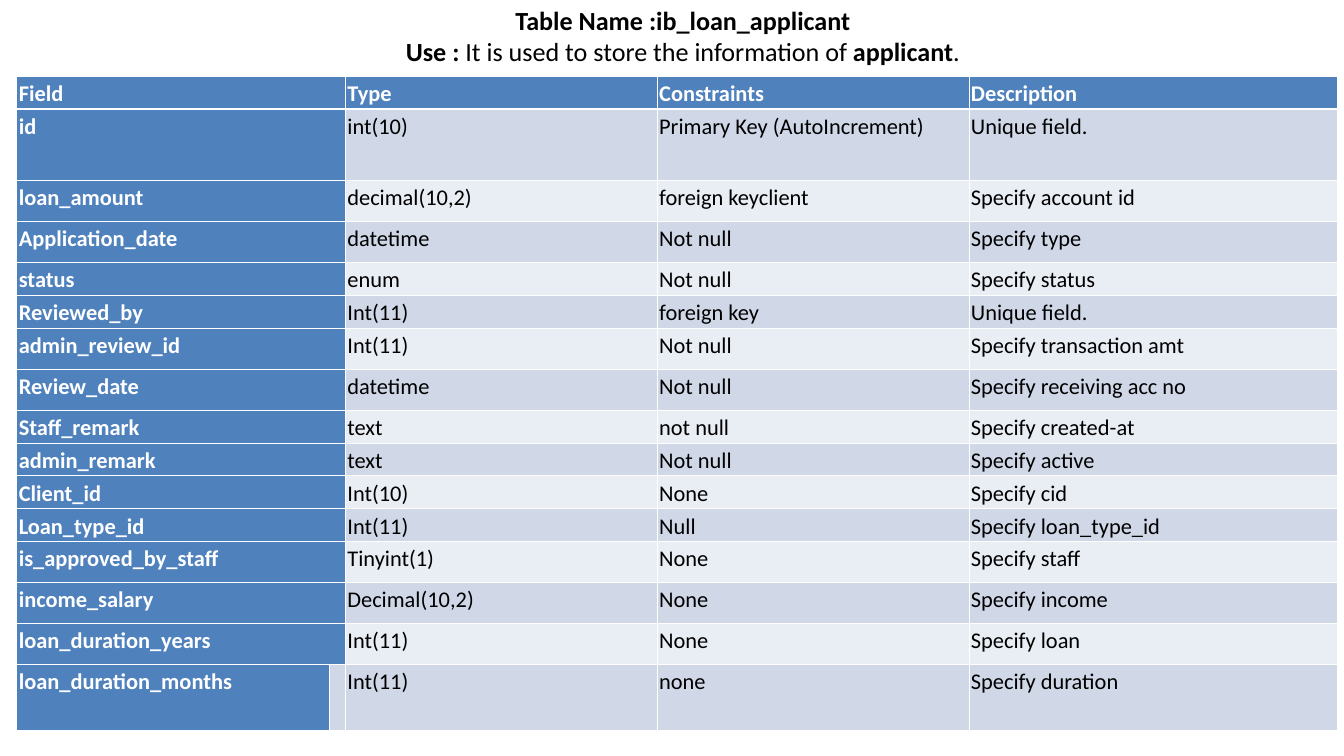
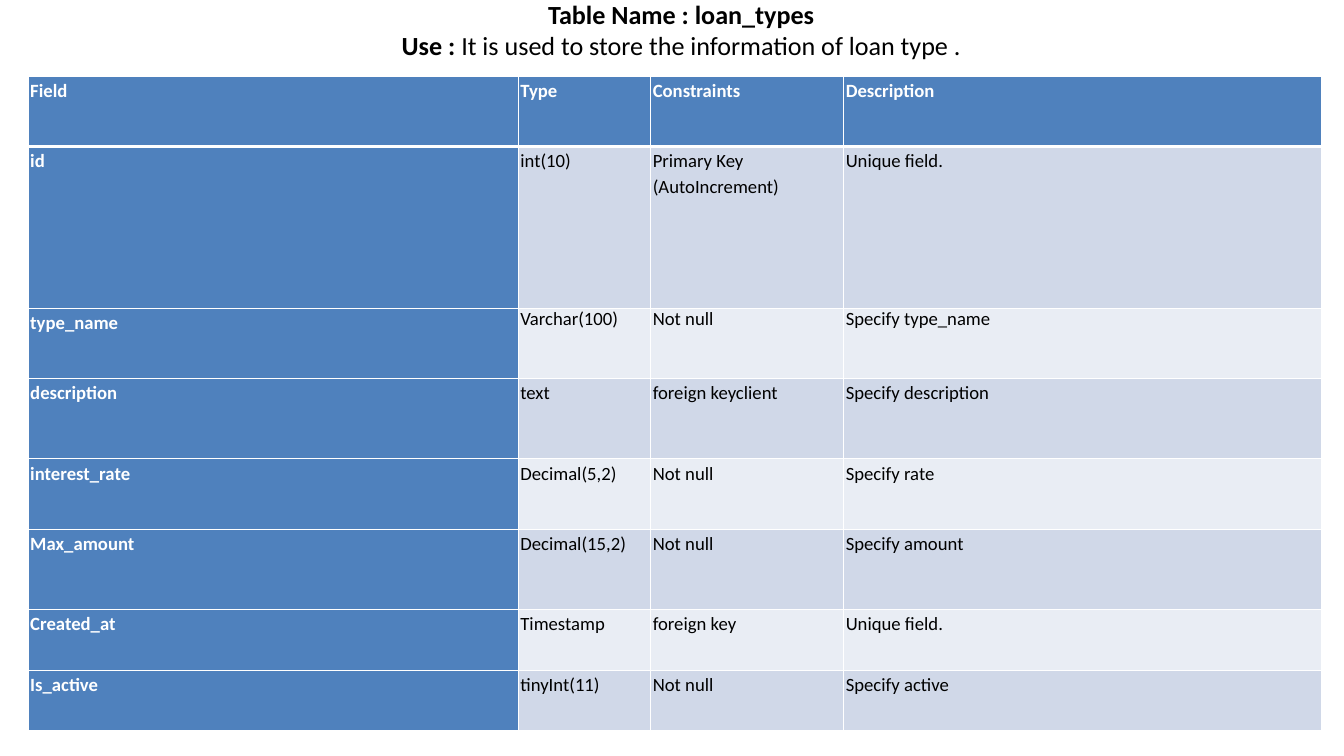
from dataclasses import dataclass

from lxml.etree import SubElement
from pptx import Presentation
from pptx.dml.color import RGBColor
from pptx.enum.text import MSO_ANCHOR, PP_ALIGN
from pptx.oxml.ns import qn
from pptx.slide import Slide
from pptx.table import Table, _Cell
from pptx.text.text import _Paragraph
from pptx.util import Emu, Inches, Pt

SLIDE_WIDTH = Inches(20)
SLIDE_HEIGHT = Inches(11.25)


@dataclass(frozen=True)
class Theme:
    font: str = "Calibri"
    title_size: int = 28
    text: str = "000000"
    heading_text: str = "FFFFFF"
    heading_fill: str = "4F81BD"
    bands: tuple[str, str] = ("D0D8E8", "E9EDF4")
    border: str = "FFFFFF"
    thin: int = 1
    thick: int = 3
    line_spacing: float = 1.15


THEME = Theme()


@dataclass(frozen=True)
class Box:
    """A rectangle in percent of the slide's width and height."""
    left: float
    top: float
    width: float
    height: float

    def place(self) -> tuple[Emu, Emu, Emu, Emu]:
        return (Emu(int(SLIDE_WIDTH * self.left / 100)),
                Emu(int(SLIDE_HEIGHT * self.top / 100)),
                Emu(int(SLIDE_WIDTH * self.width / 100)),
                Emu(int(SLIDE_HEIGHT * self.height / 100)))


@dataclass(frozen=True)
class Run:
    text: str
    bold: bool = False


@dataclass(frozen=True)
class FieldRow:
    """One table row; height is its share relative to the other rows."""
    height: float
    texts: tuple[str, str, str, str]
    value_spacing: float = THEME.line_spacing
    shows_gutter: bool = False


@dataclass(frozen=True)
class SchemaSlide:
    title_box: Box
    title_lines: tuple[tuple[Run, ...], ...]
    table_box: Box
    text_size: int
    columns: tuple[float, ...]
    rows: tuple[FieldRow, ...]


HEADINGS = ("Field", "Type", "Constraints", "Description")
SHORT, MEDIUM = 0.49, 0.61

LOAN_APPLICANT = SchemaSlide(
    title_box=Box(29, 0.09, 43.6, 9.24),
    title_lines=(
        (Run("Table Name :ib_loan_applicant", True),),
        (Run("Use : ", True), Run("It is used to store the information of "),
         Run("applicant", True), Run(".")),
    ),
    table_box=Box(1.25, 10.04, 97.5, 86.67),
    text_size=24,
    columns=(4.65, 0.09, 4.64, 4.64, 5.48),
    rows=(
        FieldRow(SHORT, HEADINGS),
        FieldRow(1.07, ("id", "int(10)", "Primary Key (AutoIncrement)", "Unique field.")),
        FieldRow(MEDIUM, ("loan_amount", "decimal(10,2)", "foreign keyclient", "Specify account id")),
        FieldRow(MEDIUM, ("Application_date", "datetime", "Not null", "Specify type")),
        FieldRow(SHORT, ("status", "enum", "Not null", "Specify status")),
        FieldRow(SHORT, ("Reviewed_by", "Int(11)", "foreign key", "Unique field.")),
        FieldRow(MEDIUM, ("admin_review_id", "Int(11)", "Not null", "Specify transaction amt")),
        FieldRow(MEDIUM, ("Review_date", "datetime", "Not null", "Specify receiving acc no")),
        FieldRow(SHORT, ("Staff_remark", "text", "not null", "Specify created-at")),
        FieldRow(SHORT, ("admin_remark", "text", "Not null", "Specify active")),
        FieldRow(SHORT, ("Client_id", "Int(10)", "None", "Specify cid")),
        FieldRow(SHORT, ("Loan_type_id", "Int(11)", "Null", "Specify loan_type_id")),
        FieldRow(MEDIUM, ("is_approved_by_staff", "Tinyint(1)", "None", "Specify staff")),
        FieldRow(MEDIUM, ("income_salary", "Decimal(10,2)", "None", "Specify income")),
        FieldRow(MEDIUM, ("loan_duration_years", "Int(11)", "None", "Specify loan")),
        FieldRow(0.99, ("loan_duration_months", "Int(11)", "none", "Specify duration"),
                 shows_gutter=True),
    ),
)

LOAN_TYPES = SchemaSlide(
    title_box=Box(28.7, -0.71, 43.95, 9.24),
    title_lines=(
        (Run("Table Name : loan_types", True),),
        (Run("Use : ", True), Run("It is used to store the information of loan type .")),
    ),
    table_box=Box(2.1, 10.04, 96.25, 86.58),
    text_size=20,
    columns=(7.29, 1.97, 2.87, 7.11),
    rows=(
        FieldRow(1.05, HEADINGS),
        FieldRow(2.41, ("id", "int(10)", "Primary Key (AutoIncrement)", "Unique field.")),
        FieldRow(1.05, ("type_name", "Varchar(100)", "Not null", "Specify type_name"),
                 value_spacing=1.0),
        FieldRow(1.2, ("description", "text", "foreign keyclient", "Specify description")),
        FieldRow(1.05, ("interest_rate", "Decimal(5,2)", "Not null", "Specify rate")),
        FieldRow(1.2, ("Max_amount", "Decimal(15,2)", "Not null", "Specify amount")),
        FieldRow(0.9, ("Created_at", "Timestamp", "foreign key", "Unique field.")),
        FieldRow(0.9, ("Is_active", "tinyInt(11)", "Not null", "Specify active")),
    ),
)


def style_paragraph(paragraph: _Paragraph, size: int, color: str) -> None:
    paragraph.font.name = THEME.font
    paragraph.font.size = Pt(size)
    paragraph.font.color.rgb = RGBColor.from_string(color)


def add_title(slide: Slide, schema: SchemaSlide) -> None:
    text_frame = slide.shapes.add_textbox(*schema.title_box.place()).text_frame
    text_frame.word_wrap = True
    text_frame.vertical_anchor = MSO_ANCHOR.MIDDLE
    for index, line in enumerate(schema.title_lines):
        paragraph = text_frame.add_paragraph() if index else text_frame.paragraphs[0]
        paragraph.alignment = PP_ALIGN.CENTER
        style_paragraph(paragraph, THEME.title_size, THEME.text)
        for part in line:
            run = paragraph.add_run()
            run.text = part.text
            run.font.bold = part.bold


def paint_cell(cell: _Cell, row_index: int, is_heading: bool) -> None:
    """Give a cell its borders, then its heading or band fill."""
    properties = cell._tc.get_or_add_tcPr()
    thick_side = {0: "lnB", 1: "lnT"}.get(row_index)
    for side in ("lnL", "lnR", "lnT", "lnB"):
        width = THEME.thick if side == thick_side else THEME.thin
        line = SubElement(properties, qn(f"a:{side}"), w=str(Pt(width)))
        SubElement(SubElement(line, qn("a:solidFill")), qn("a:srgbClr"), val=THEME.border)
    color = THEME.heading_fill if is_heading else THEME.bands[(row_index - 1) % 2]
    cell.fill.solid()
    cell.fill.fore_color.rgb = RGBColor.from_string(color)


def write_cell(cell: _Cell, text: str, size: int, is_heading: bool, spacing: float) -> None:
    cell.margin_left = cell.margin_right = Inches(0.03)
    cell.margin_top = cell.margin_bottom = 0
    paragraph = cell.text_frame.paragraphs[0]
    paragraph.text = text
    paragraph.line_spacing = spacing
    style_paragraph(paragraph, size, THEME.heading_text if is_heading else THEME.text)
    paragraph.font.bold = is_heading


def size_table(table: Table, schema: SchemaSlide) -> None:
    """Share out the table's box among its columns and rows."""
    _, _, width, height = schema.table_box.place()
    for column, share in zip(table.columns, schema.columns):
        column.width = Emu(int(width * share / sum(schema.columns)))
    total_height = sum(row.height for row in schema.rows)
    for table_row, row in zip(table.rows, schema.rows):
        table_row.height = Emu(int(height * row.height / total_height))


def add_schema_table(slide: Slide, schema: SchemaSlide) -> None:
    column_count = len(schema.columns)
    has_gutter = column_count > len(HEADINGS)
    text_columns = [0, *range(column_count - len(HEADINGS) + 1, column_count)]
    table = slide.shapes.add_table(
        len(schema.rows), column_count, *schema.table_box.place()).table
    table.horz_banding = False
    size_table(table, schema)
    for row_index, row in enumerate(schema.rows):
        for column_index in range(column_count):
            is_heading = row_index == 0 or column_index == 0
            paint_cell(table.cell(row_index, column_index), row_index, is_heading)
        if has_gutter and not row.shows_gutter:
            table.cell(row_index, 0).merge(table.cell(row_index, 1))
        for column_index, text in zip(text_columns, row.texts):
            is_heading = row_index == 0 or column_index == 0
            spacing = THEME.line_spacing if is_heading else row.value_spacing
            write_cell(table.cell(row_index, column_index), text,
                       schema.text_size, is_heading, spacing)


def main() -> None:
    presentation = Presentation()
    presentation.slide_width = SLIDE_WIDTH
    presentation.slide_height = SLIDE_HEIGHT
    blank_layout = presentation.slide_layouts[6]
    for schema in (LOAN_APPLICANT, LOAN_TYPES):
        slide = presentation.slides.add_slide(blank_layout)
        add_schema_table(slide, schema)
        add_title(slide, schema)
    presentation.save("out.pptx")


if __name__ == "__main__":
    main()
